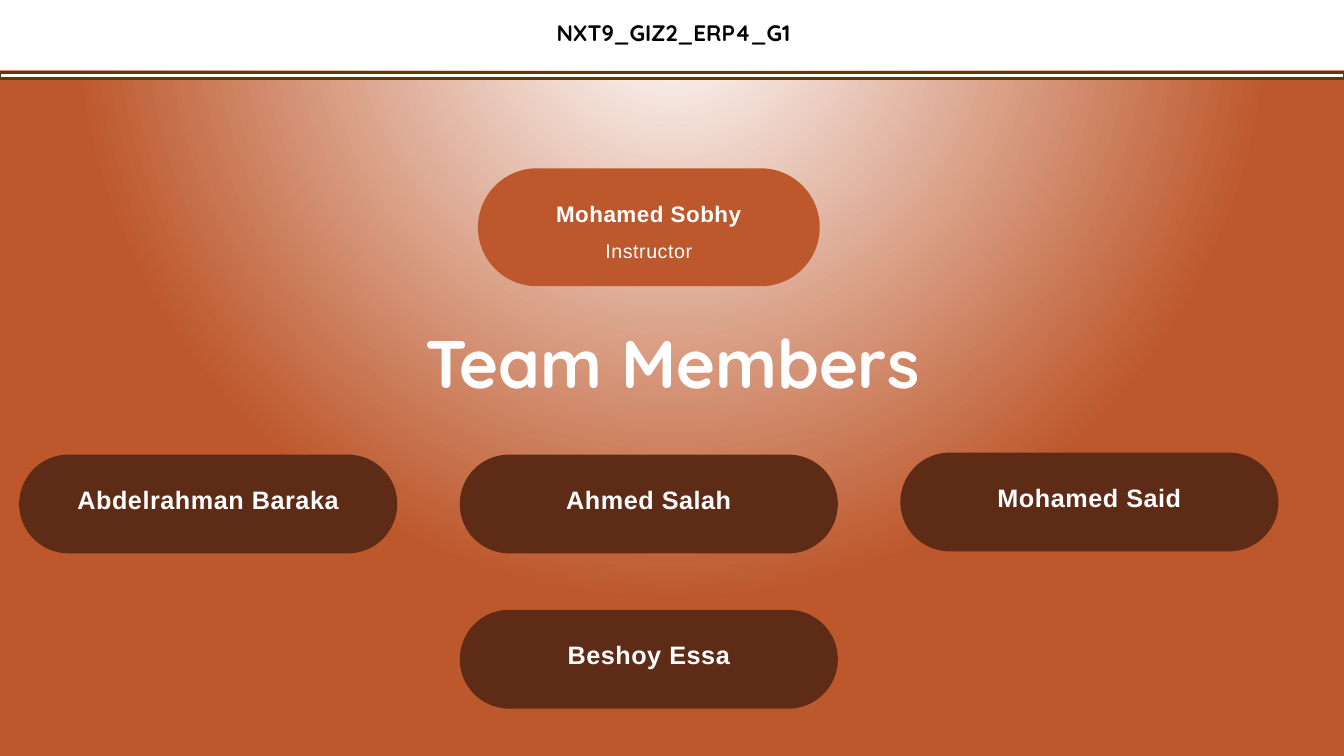
"""Build the team members slide with its instructor and member pills."""
from dataclasses import dataclass

from lxml.etree import SubElement
from pptx import Presentation
from pptx.dml.color import RGBColor
from pptx.enum.shapes import MSO_SHAPE
from pptx.enum.text import MSO_ANCHOR, PP_ALIGN
from pptx.oxml import parse_xml
from pptx.oxml.ns import nsdecls, qn
from pptx.shapes.autoshape import Shape
from pptx.slide import Slide
from pptx.text.text import TextFrame, _Paragraph, _Run
from pptx.util import Inches, Pt


@dataclass(frozen=True)
class Theme:
    white: str = "FFFFFF"
    black: str = "000000"
    orange: str = "BD582C"
    brown: str = "5E2C16"
    rule: str = "643908"
    heading_font: str = "Quicksand"
    body_font: str = "Arial"
    title_size: int = 48
    member_size: int = 18
    name_size: int = 16
    role_size: int = 14
    letter_spacing: int = 40


@dataclass(frozen=True)
class Line:
    text: str
    size: int
    bold: bool = True


@dataclass(frozen=True)
class Pill:
    left: float
    top: float
    width: float
    height: float
    fill: str
    lines: tuple[Line, ...]
    spacing: float | Pt
    lift: float


THEME = Theme()
SLIDE_WIDTH, SLIDE_HEIGHT = 13.33, 7.5
MIDDLE_LEFT, COLUMN_STEP = 4.56, 4.37


def member(name: str, column: int, top: float) -> Pill:
    """Describe a member pill in a column counted from the middle one."""
    return Pill(MIDDLE_LEFT + column * COLUMN_STEP, top, 3.75, 0.98, THEME.brown,
                (Line(name, THEME.member_size),), Pt(18), 0.02)


PILLS = (
    Pill(4.74, 1.67, 3.39, 1.17, THEME.orange,
         (Line("Mohamed Sobhy", THEME.name_size),
          Line("Instructor", THEME.role_size, False)), 1.5, 0.03),
    member("Abdelrahman Baraka", -1, 4.51),
    member("Ahmed Salah", 0, 4.51),
    member("Mohamed Said", 1, 4.49),
    member("Beshoy Essa", 0, 6.05),
)


def paint_background(slide: Slide) -> None:
    """Give the slide a radial gradient centred above its top edge."""
    fill = slide.background.fill
    fill.solid()
    stops = ((0, THEME.white), (0, THEME.white), (78, THEME.orange))
    stop_xml = "".join(
        f'<a:gs pos="{position * 1000}"><a:srgbClr val="{color}"/></a:gs>'
        for position, color in stops)
    gradient = parse_xml(
        f'<a:gradFill {nsdecls("a")} rotWithShape="1"><a:gsLst>{stop_xml}</a:gsLst>'
        '<a:path path="circle"><a:fillToRect l="50000" t="-80000" r="50000" b="180000"/>'
        '</a:path></a:gradFill>')
    properties = slide.background._cSld.bg.bgPr
    properties.replace(properties.find(qn("a:solidFill")), gradient)


def add_filled(slide: Slide, kind: MSO_SHAPE, left: float, top: float,
               width: float, height: float, color: str) -> Shape:
    """Add a flat preset shape without an outline."""
    shape = slide.shapes.add_shape(kind, Inches(left), Inches(top),
                                   Inches(width), Inches(height))
    shape.shadow.inherit = False
    shape.fill.solid()
    shape.fill.fore_color.rgb = RGBColor.from_string(color)
    shape.line.fill.background()
    return shape


def style_line(paragraph: _Paragraph, line: Line, font: str, color: str) -> _Run:
    """Write one centred line and format its run."""
    paragraph.text = line.text
    paragraph.alignment = PP_ALIGN.CENTER
    run = paragraph.runs[0]
    run.font.size = Pt(line.size)
    run.font.bold = line.bold
    run.font.name = font
    run.font.color.rgb = RGBColor.from_string(color)
    return run


def prepare_frame(text_frame: TextFrame, anchor: MSO_ANCHOR) -> None:
    """Set wrapping and vertical anchoring."""
    text_frame.word_wrap = True
    text_frame.vertical_anchor = anchor


def add_header(slide: Slide) -> None:
    """Add the white header band, its rule and the group code."""
    add_filled(slide, MSO_SHAPE.RECTANGLE, 0, 0, SLIDE_WIDTH, 0.7, THEME.white)
    rule = add_filled(slide, MSO_SHAPE.RECTANGLE, 0, 0.72, SLIDE_WIDTH, 0.06, THEME.white)
    rule.line.color.rgb = RGBColor.from_string(THEME.rule)
    rule.line.width = Pt(1.5)
    code = slide.shapes.add_textbox(Inches(4.43), Inches(0.12), Inches(4.5), Inches(0.4))
    prepare_frame(code.text_frame, MSO_ANCHOR.MIDDLE)
    style_line(code.text_frame.paragraphs[0], Line("NXT9_GIZ2_ERP4_G1", THEME.name_size),
               THEME.heading_font, THEME.black)


def add_pill(slide: Slide, pill: Pill) -> None:
    """Add a fully rounded pill with its lines of text."""
    shape = add_filled(slide, MSO_SHAPE.ROUNDED_RECTANGLE, pill.left, pill.top,
                       pill.width, pill.height, pill.fill)
    shape.adjustments[0] = 0.5
    text_frame = shape.text_frame
    prepare_frame(text_frame, MSO_ANCHOR.MIDDLE)
    text_frame.margin_left = text_frame.margin_right = Inches(0.1)
    text_frame.margin_top = 0
    text_frame.margin_bottom = Inches(2 * pill.lift)
    text_frame.text = "\n".join(line.text for line in pill.lines)
    for paragraph, line in zip(text_frame.paragraphs, pill.lines):
        run = style_line(paragraph, line, THEME.body_font, THEME.white)
        paragraph.line_spacing = pill.spacing
        run.font._element.set("spc", str(THEME.letter_spacing))


def add_title(slide: Slide) -> None:
    """Place the title and give its letters a soft shadow."""
    title = slide.shapes.title
    title.left, title.top = Inches(3.1), Inches(3.14)
    title.width, title.height = Inches(7.14), Inches(0.91)
    prepare_frame(title.text_frame, MSO_ANCHOR.TOP)
    run = style_line(title.text_frame.paragraphs[0], Line("Team Members", THEME.title_size),
                     THEME.heading_font, THEME.white)
    properties = run.font._element
    effects = parse_xml(f'<a:effectLst {nsdecls("a")}/>')
    shadow = SubElement(effects, qn("a:outerShdw"), blurRad=str(Inches(0.1)),
                        dist=str(Inches(0.1)), dir="5400000", algn="t", rotWithShape="0")
    color = SubElement(shadow, qn("a:srgbClr"), val=THEME.black)
    SubElement(color, qn("a:alpha"), val="60000")
    properties.find(qn("a:solidFill")).addnext(effects)


def main() -> None:
    """Build and save the presentation."""
    presentation = Presentation()
    presentation.slide_width = Inches(SLIDE_WIDTH)
    presentation.slide_height = Inches(SLIDE_HEIGHT)
    slide = presentation.slides.add_slide(presentation.slide_layouts[5])
    paint_background(slide)
    add_header(slide)
    for pill in PILLS:
        add_pill(slide, pill)
    add_title(slide)
    presentation.save("out.pptx")


if __name__ == "__main__":
    main()
